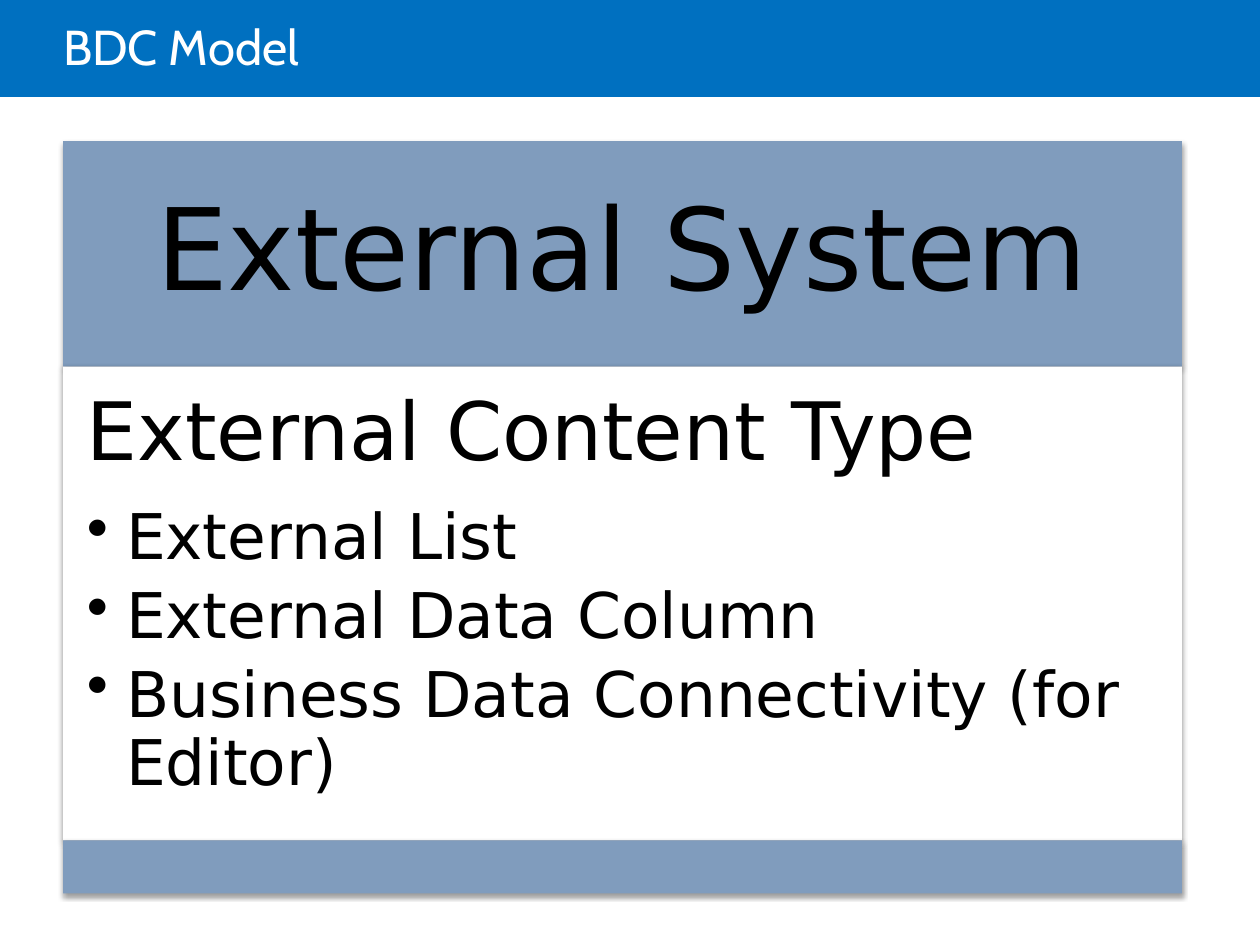
from lxml.etree import SubElement
from pptx import Presentation
from pptx.dml.color import RGBColor
from pptx.enum.shapes import MSO_SHAPE
from pptx.enum.text import MSO_ANCHOR, PP_ALIGN
from pptx.oxml.ns import qn
from pptx.util import Inches, Pt

BLUE = RGBColor(0x00, 0x70, 0xC0)
STEEL = RGBColor(0x80, 0x9C, 0xBD)
WHITE = RGBColor(0xFF, 0xFF, 0xFF)
BLACK = RGBColor(0x00, 0x00, 0x00)

HEADING = {"line_spacing": 0.9, "space_after": Pt(16), "alignment": PP_ALIGN.LEFT}
CENTERED = {**HEADING, "alignment": PP_ALIGN.CENTER}
ITEM = {**HEADING, "space_after": Pt(6)}


def apply_format(target, values):
    for name, value in values.items():
        setattr(target, name, value)


def set_margins(frame, left, top, right, bottom):
    apply_format(frame, {
        "margin_left": Inches(left), "margin_top": Inches(top),
        "margin_right": Inches(right), "margin_bottom": Inches(bottom),
        "word_wrap": True,
    })


def write(paragraph, text, size, color, font, layout):
    apply_format(paragraph, layout)
    run = paragraph.add_run()
    run.text = text
    apply_format(run.font, {"size": Pt(size), "name": font})
    run.font.color.rgb = color


def add_band(slide, box, color):
    band = slide.shapes.add_shape(MSO_SHAPE.RECTANGLE, *map(Inches, box))
    band.shadow.inherit = False
    band.fill.solid()
    band.fill.fore_color.rgb = color
    band.line.fill.background()
    return band


def add_shadow(band):
    effects = band.element.spPr.find(qn("a:effectLst"))
    shadow = SubElement(effects, qn("a:outerShdw"), blurRad=str(Pt(3.1)),
                        dist=str(Pt(1.6)), dir="5400000", rotWithShape="0")
    tint = SubElement(shadow, qn("a:srgbClr"), val=str(BLACK))
    SubElement(tint, qn("a:alpha"), val="38000")


def add_bullet(paragraph):
    properties = paragraph._p.get_or_add_pPr()
    properties.set("marL", str(Inches(0.31)))
    properties.set("indent", str(Inches(-0.31)))
    SubElement(properties, qn("a:buChar"), char="•")


def build_header(slide, box, text):
    left, top, width, height = box
    header = add_band(slide, box, BLUE)
    title = slide.shapes.title
    title.element.addprevious(header.element)
    apply_format(title, {
        "left": Inches(left + 0.5), "top": Inches(top),
        "width": Inches(width - 1.5), "height": Inches(height + 0.04),
    })
    frame = title.text_frame
    set_margins(frame, 0, 0.05, 0.1, 0.05)
    frame.vertical_anchor = MSO_ANCHOR.MIDDLE
    write(frame.paragraphs[0], text, 28, WHITE, "Cabin",
          {"line_spacing": 0.85, "alignment": PP_ALIGN.LEFT})


def build_model(slide, box, system, content_type, items):
    left, top, width, height = box
    system_height, foot_height = 1.79, 0.42
    content_height = height - system_height - foot_height
    bands = []
    for band_height, color in ((system_height, STEEL), (content_height, WHITE),
                               (foot_height, STEEL)):
        band = add_band(slide, (left, top, width, band_height), color)
        add_shadow(band)
        bands.append(band)
        top += band_height

    system_frame, content_frame = (band.text_frame for band in bands[:2])
    set_margins(system_frame, *[0.27] * 4)
    system_frame.vertical_anchor = MSO_ANCHOR.MIDDLE
    write(system_frame.paragraphs[0], system, 65, BLACK, "DejaVu Sans", CENTERED)

    set_margins(content_frame, *[0.19] * 4)
    content_frame.vertical_anchor = MSO_ANCHOR.TOP
    write(content_frame.paragraphs[0], content_type, 46, BLACK, "DejaVu Sans", HEADING)
    for item in items:
        paragraph = content_frame.add_paragraph()
        paragraph.level = 1
        write(paragraph, item, 36, BLACK, "DejaVu Sans", ITEM)
        add_bullet(paragraph)


deck = Presentation()
apply_format(deck, {"slide_width": Inches(10), "slide_height": Inches(7.5)})
model_slide = deck.slides.add_slide(deck.slide_layouts.get_by_name("Title Only"))
build_header(model_slide, (0, 0, 10, 0.77), "BDC Model")
build_model(model_slide, (0.5, 1.12, 8.88, 5.97), "External System",
            "External Content Type",
            ["External List", "External Data Column",
             "Business Data Connectivity (for Editor)"])
deck.save("out.pptx")
